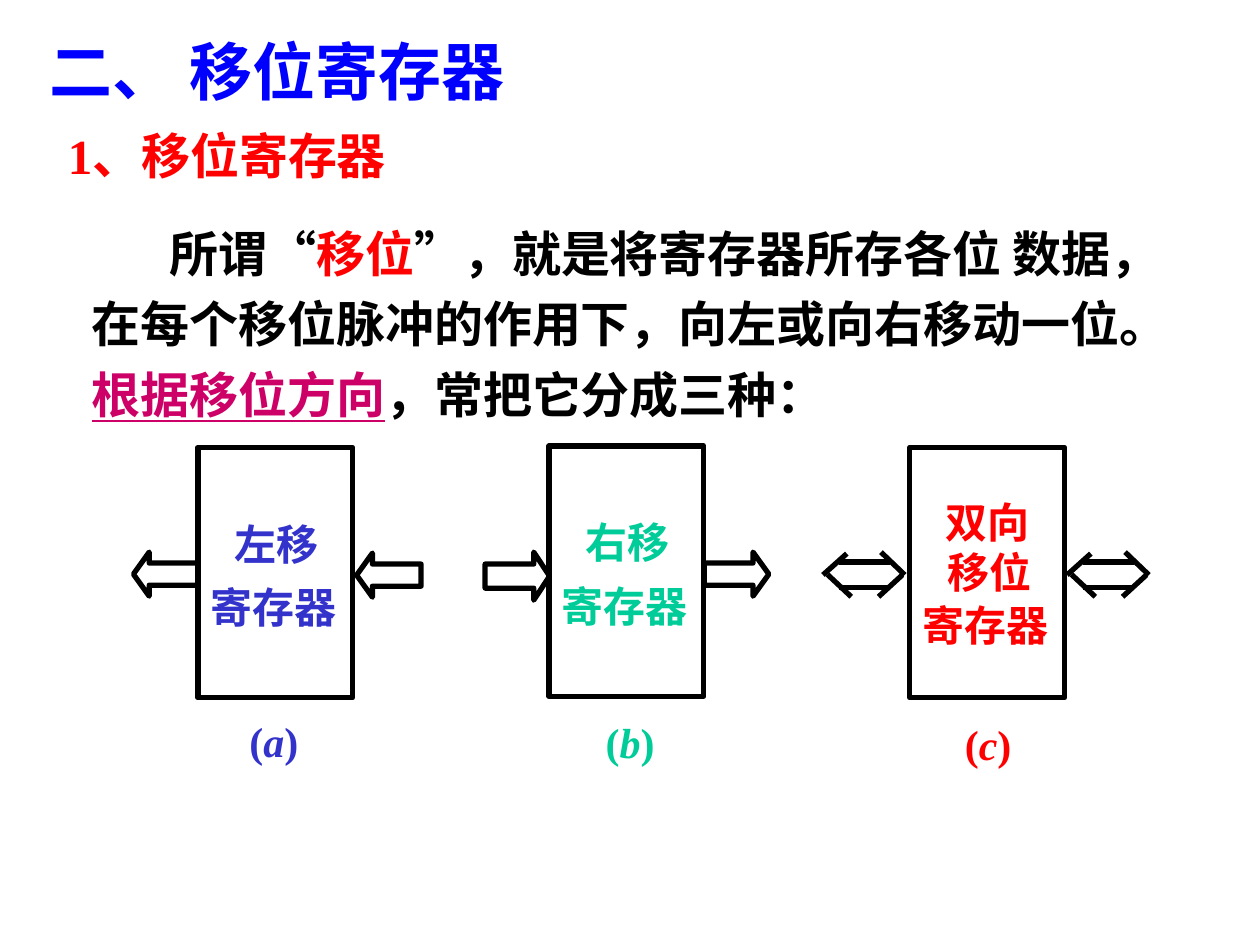
from dataclasses import dataclass

from lxml import etree
from pptx import Presentation
from pptx import util as u
from pptx.dml.color import RGBColor
from pptx.enum import shapes, text
from pptx.oxml.ns import qn

FONT = "Times New Roman"
BLACK, BLUE, RED, MAGENTA = "000000", "0000FF", "FF0000", "CC0066"
INDIGO, GREEN = "3333CC", "00CC99"
LINE_WIDTH = u.Pt(3)
BOX_WIDTH, BOX_HEIGHT = 3.12, 5.05
LABEL_HEIGHT = 1.27


@dataclass
class Run:
    content: str
    color: str
    italic: bool = False
    underline: bool = False


@dataclass
class Label:
    content: str
    left: float  # offset from the register box, in cm
    top: float
    width: float = 2.64


@dataclass
class Register:
    left: float
    top: float
    color: str
    labels: list[Label]
    letter: str
    letter_left: float
    letter_top: float


@dataclass
class Arrow:
    preset: shapes.MSO_SHAPE
    left: float
    top: float
    height: float = 0.89


REGISTERS = [
    Register(3.99, 9.02, INDIGO,
             [Label("左移", 0.48, 1.3), Label("寄存器", 0, 2.57, 3.25)],
             "a", 0.79, 5.28),
    Register(11.07, 8.99, GREEN,
             [Label("右移", 0.48, 1.3), Label("寄存器", 0, 2.59, 3.25)],
             "b", 0.89, 5.33),
    Register(18.34, 9.02, RED,
             [Label("双向", 0.48, 0.86), Label("移位", 0.51, 1.88, 2.49),
              Label("寄存器", 0, 2.95, 3.25)],
             "c", 0.86, 5.33),
]

ARROWS = [
    Arrow(shapes.MSO_SHAPE.LEFT_ARROW, 7.19, 11.15),
    Arrow(shapes.MSO_SHAPE.LEFT_ARROW, 2.69, 11.13),
    Arrow(shapes.MSO_SHAPE.RIGHT_ARROW, 14.2, 11.13),
    Arrow(shapes.MSO_SHAPE.RIGHT_ARROW, 9.78, 11.13, 0.97),
]
ARROW_WIDTH, ARROW_HEAD = 1.3, 0.32

# Strokes of a two-way arrow: x1, y1, x2, y2 from its top left corner
TWO_WAY_STROKES = [
    (0.33, 0.2, 1.35, 0.2), (0.33, 0.71, 1.35, 0.71),
    (0.09, 0.45, 0.57, 0.9), (0.48, 0.03, 0, 0.46),
    (1.6, 0.46, 1.12, 0.9), (1.17, 0, 1.65, 0.46),
]
TWO_WAY_LEFTS, TWO_WAY_TOP = (16.59, 21.51), 11.13


def rgb(color: str) -> RGBColor:
    return RGBColor.from_string(color)


def add_text(slide, runs: list[Run], left: float, top: float, width: float,
             height: float, *, size: int = 24, spacing: float = 1.0,
             indent: float = 0) -> None:
    box = slide.shapes.add_textbox(u.Cm(left), u.Cm(top), u.Cm(width), u.Cm(height))
    frame = box.text_frame
    frame.word_wrap = True
    frame.auto_size = text.MSO_AUTO_SIZE.SHAPE_TO_FIT_TEXT
    paragraph = frame.paragraphs[0]
    paragraph.line_spacing = spacing
    if indent:
        paragraph._p.get_or_add_pPr().set("indent", str(u.Cm(indent)))
    for item in runs:
        run = paragraph.add_run()
        run.text = item.content
        font = run.font
        font.name, font.size, font.bold = FONT, u.Pt(size), True
        font.italic, font.underline = item.italic, item.underline
        font.color.rgb = rgb(item.color)


def add_outline(slide, preset: shapes.MSO_SHAPE, left: float, top: float,
                width: float, height: float):
    shape = slide.shapes.add_shape(preset, u.Cm(left), u.Cm(top),
                                   u.Cm(width), u.Cm(height))
    shape.shadow.inherit = False
    shape.fill.background()
    shape.line.color.rgb = rgb(BLACK)
    shape.line.width = LINE_WIDTH
    return shape


def add_register(slide, register: Register) -> None:
    add_outline(slide, shapes.MSO_SHAPE.RECTANGLE, register.left, register.top,
                BOX_WIDTH, BOX_HEIGHT)
    for label in register.labels:
        add_text(slide, [Run(label.content, register.color)],
                 register.left + label.left, register.top + label.top,
                 label.width, LABEL_HEIGHT)
    letter = [Run("(", register.color),
              Run(register.letter, register.color, italic=True),
              Run(")", register.color)]
    add_text(slide, letter, register.left + register.letter_left,
             register.top + register.letter_top, 2.01, LABEL_HEIGHT)


def add_arrow(slide, arrow: Arrow) -> None:
    shape = add_outline(slide, arrow.preset, arrow.left, arrow.top,
                        ARROW_WIDTH, arrow.height)
    shape.adjustments[0] = 0.5
    shape.adjustments[1] = ARROW_HEAD / arrow.height


def add_two_way_arrow(slide, left: float, top: float) -> None:
    for x1, y1, x2, y2 in TWO_WAY_STROKES:
        line = slide.shapes.add_connector(
            shapes.MSO_CONNECTOR.STRAIGHT, u.Cm(left + x1), u.Cm(top + y1),
            u.Cm(left + x2), u.Cm(top + y2))
        line.line.color.rgb = rgb(BLACK)
        line.line.width = LINE_WIDTH
        etree.SubElement(line._element.spPr, qn("a:effectLst"))


def main() -> None:
    presentation = Presentation()
    presentation.slide_width, presentation.slide_height = u.Cm(25.4), u.Cm(19.05)
    slide = presentation.slides.add_slide(presentation.slide_layouts[6])

    # Headings
    add_text(slide, [Run("二、 移位寄存器", BLUE)], 0.74, 0.53, 14.48, 1.78, size=36)
    add_text(slide, [Run("1、移位寄存器", RED)], 1.12, 2.41, 12.22, 1.45, size=28)

    # Definition
    definition = [
        Run("所谓“", BLACK),
        Run("移位", RED),
        Run("”，就是将寄存器所存各位 数据，在每个移位脉冲的作用下，向左或向右移动一位。", BLACK),
        Run("根据移位方向", MAGENTA, underline=True),
        Run("，常把它分成三种：", BLACK),
    ]
    add_text(slide, definition, 1.6, 4.14, 21.41, 4.52, size=28, spacing=1.2,
             indent=1.57)

    # Three kinds of register with their data arrows
    for arrow in ARROWS:
        add_arrow(slide, arrow)
    for left in TWO_WAY_LEFTS:
        add_two_way_arrow(slide, left, TWO_WAY_TOP)
    for register in REGISTERS:
        add_register(slide, register)

    presentation.save("out.pptx")


if __name__ == "__main__":
    main()
